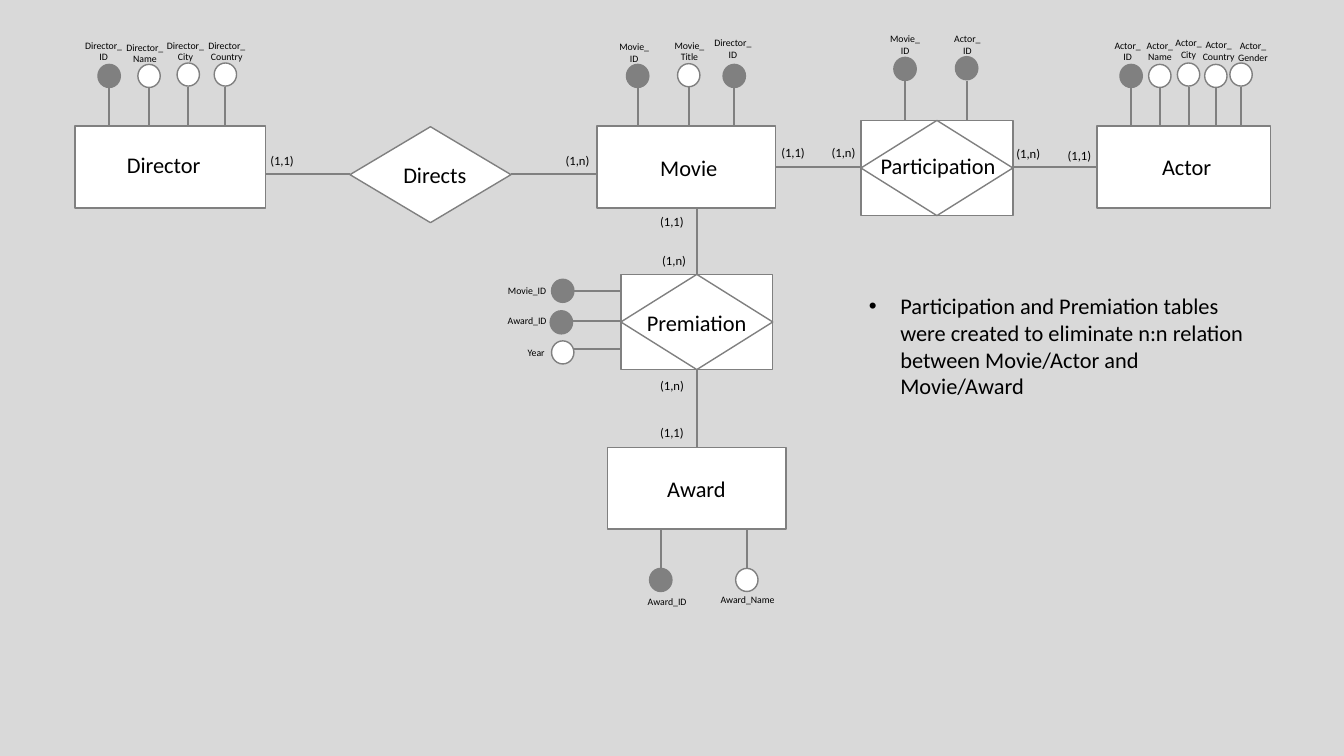
from dataclasses import dataclass

from lxml import etree
from pptx import Presentation
from pptx.dml.color import RGBColor
from pptx.enum import shapes, text
from pptx.oxml import ns
from pptx.util import Pt


@dataclass(frozen=True)
class Theme:
    """Colours, font and type sizes of the diagram."""
    backdrop = RGBColor(0xD9, 0xD9, 0xD9)
    grey = RGBColor(0x80, 0x80, 0x80)
    white = RGBColor(0xFF, 0xFF, 0xFF)
    black = RGBColor(0, 0, 0)
    font = "Calibri"
    name_size = 16
    cardinality_size = 9
    attribute_size = 7


theme = Theme()
KINDS = shapes.MSO_SHAPE

# Name, left, top, width, height, name left, name top
entities = [
    ("Director", 53.5, 90, 136, 58.5, 83.5, 104.5),
    ("Movie", 426.5, 90, 127.5, 58.5, 464.5, 106.5),
    ("Actor", 783.5, 90, 124, 58.5, 823, 106),
    ("Award", 434, 319.5, 127.5, 58.5, 469.5, 335.5),
]
relations = [
    ("Directs", 250, 90.5, 115, 68.5, 281, 111.5),
    ("Participation", 615, 86, 108.5, 68, 622, 105),
    ("Premiation", 443.5, 196, 108.5, 68, 455, 217.5),
]
associative = {"Participation", "Premiation"}

links = [
    (189, 124.5, 250, 124.5), (365, 124.5, 426.5, 124.5),
    (554, 119.5, 615, 119.5), (722.5, 119.5, 783.5, 119.5),
    (498, 148.5, 498, 196), (498, 264, 498, 319.5),
]

# Text, centre, top
cardinalities = [
    ("(1,1)", 201.5, 106), ("(1,n)", 412.5, 106),
    ("(1,1)", 566.5, 100), ("(1,n)", 602.5, 100),
    ("(1,n)", 734.5, 101), ("(1,1)", 771, 102),
    ("(1,1)", 480, 149), ("(1,n)", 481.5, 177),
    ("(1,n)", 480, 266.5), ("(1,1)", 480, 300),
]

# Stem ends, then attributes: label, circle centre, circle top, label centre, label top
upright_groups = [
    (62, 90, [
        ("Director_\nID", 78, 46, 74, 24.5),
        ("Director_\nName", 106.5, 46, 103.5, 26),
        ("Director_\nCity", 134.5, 45, 132.5, 24.5),
        ("Director_\nCountry", 161, 45, 162, 24.5),
        ("Movie_\nID", 455.5, 46, 453, 25.5),
        ("Movie_\nTitle", 492, 45.5, 492.5, 24.5),
        ("Director_\nID", 524.5, 46, 523.5, 23),
        ("Actor_\nID", 808, 46, 805.5, 24.5),
        ("Actor_\nName", 828.5, 46, 828.5, 24.5),
        ("Actor_\nCity", 849, 45, 849, 23),
        ("Actor_\nCountry", 868.5, 46, 870.5, 24),
        ("Actor_\nGender", 886.5, 45, 895, 25),
    ]),
    (58, 86, [
        ("Movie_\nID", 646.5, 41, 646.5, 20),
        ("Actor_\nID", 690.5, 40.5, 691, 20),
    ]),
    (378, 406, [
        ("Award_ID", 472, 406, 476.5, 422),
        ("Award_Name", 533.5, 406, 534, 420.5),
    ]),
]
# Attribute as above, then height of its sideways stem
premiation_attributes = [
    ("Movie_ID", 402, 199.5, 376.5, 200, 208),
    ("Award_ID", 401, 222, 376.5, 221, 229.5),
    ("Year", 402, 243.5, 383, 244, 249),
]

attributes = [row for _, _, rows in upright_groups for row in rows]
attributes += [row[:5] for row in premiation_attributes]
stems = [(row[1], start, row[1], end)
         for start, end, rows in upright_groups for row in rows]
stems += [(443.5, row[5], 409.5, row[5]) for row in premiation_attributes]


def add_figure(kind, left, top, width, height, fill=theme.white):
    """Draw a filled shape with a thin grey outline."""
    figure = page.shapes.add_shape(kind, Pt(left), Pt(top), Pt(width), Pt(height))
    figure.shadow.inherit = False
    figure.fill.solid()
    figure.fill.fore_color.rgb = fill
    figure.line.color.rgb = theme.grey
    figure.line.width = Pt(1)


def add_text(words, left, top, width, height, size, align=text.PP_ALIGN.LEFT):
    """Write a wrapped text box and return its paragraph."""
    box = page.shapes.add_textbox(Pt(left), Pt(top), Pt(width), Pt(height))
    box.text_frame.word_wrap = True
    para = box.text_frame.paragraphs[0]
    para.text = words
    para.alignment = align
    para.font.name = theme.font
    para.font.size = Pt(size)
    para.font.color.rgb = theme.black
    return para


deck = Presentation()
deck.slide_width, deck.slide_height = Pt(960), Pt(540)
page = deck.slides.add_slide(deck.slide_layouts[6])
page.background.fill.solid()
page.background.fill.fore_color.rgb = theme.backdrop

for ends in links + stems:
    line = page.shapes.add_connector(
        shapes.MSO_CONNECTOR.STRAIGHT, *[Pt(value) for value in ends])
    line.line.color.rgb = theme.grey
    line.line.width = Pt(1.5)
    etree.SubElement(line._element.spPr, ns.qn("a:effectLst"))

for name, *frame, name_left, name_top in entities + relations:
    is_relation = (name, *frame, name_left, name_top) in relations
    if not is_relation or name in associative:
        add_figure(KINDS.RECTANGLE, *frame)
    if is_relation:
        add_figure(KINDS.FLOWCHART_DECISION, *frame)
    add_text(name, name_left, name_top, 111, 26.5, theme.name_size)

for label, centre, top, label_centre, label_top in attributes:
    fill = theme.grey if label.endswith("ID") else theme.white
    add_figure(KINDS.OVAL, centre - 8, top, 16, 16.5, fill)
    height = 24.5 if "\n" in label else 16
    add_text(label, label_centre - 29, label_top, 58, height,
             theme.attribute_size, text.PP_ALIGN.CENTER)

for label, centre, top in cardinalities:
    add_text(label, centre - 29, top, 58, 18,
             theme.cardinality_size, text.PP_ALIGN.CENTER)

remark = add_text(
    "Participation and Premiation tables were created to eliminate "
    "n:n relation between Movie/Actor and Movie/Award",
    613.5, 205, 291.5, 85, theme.name_size)
indents = remark._p.get_or_add_pPr()
indents.set("marL", str(Pt(22.5)))
indents.set("indent", str(-Pt(22.5)))
bullet_font = etree.Element(ns.qn("a:buFont"), typeface="Arial")
bullet = etree.Element(ns.qn("a:buChar"), char="•")
indents.insert(0, bullet_font)
indents.insert(1, bullet)

deck.save("out.pptx")
